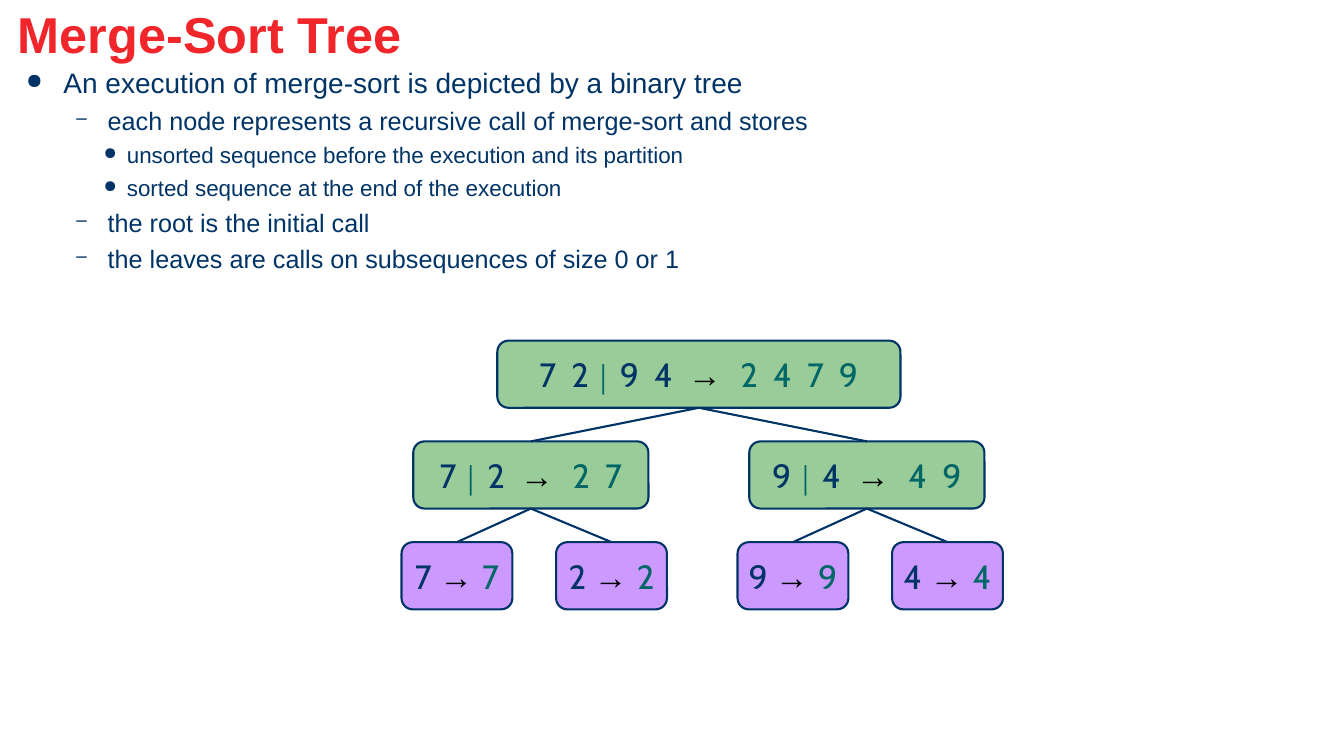
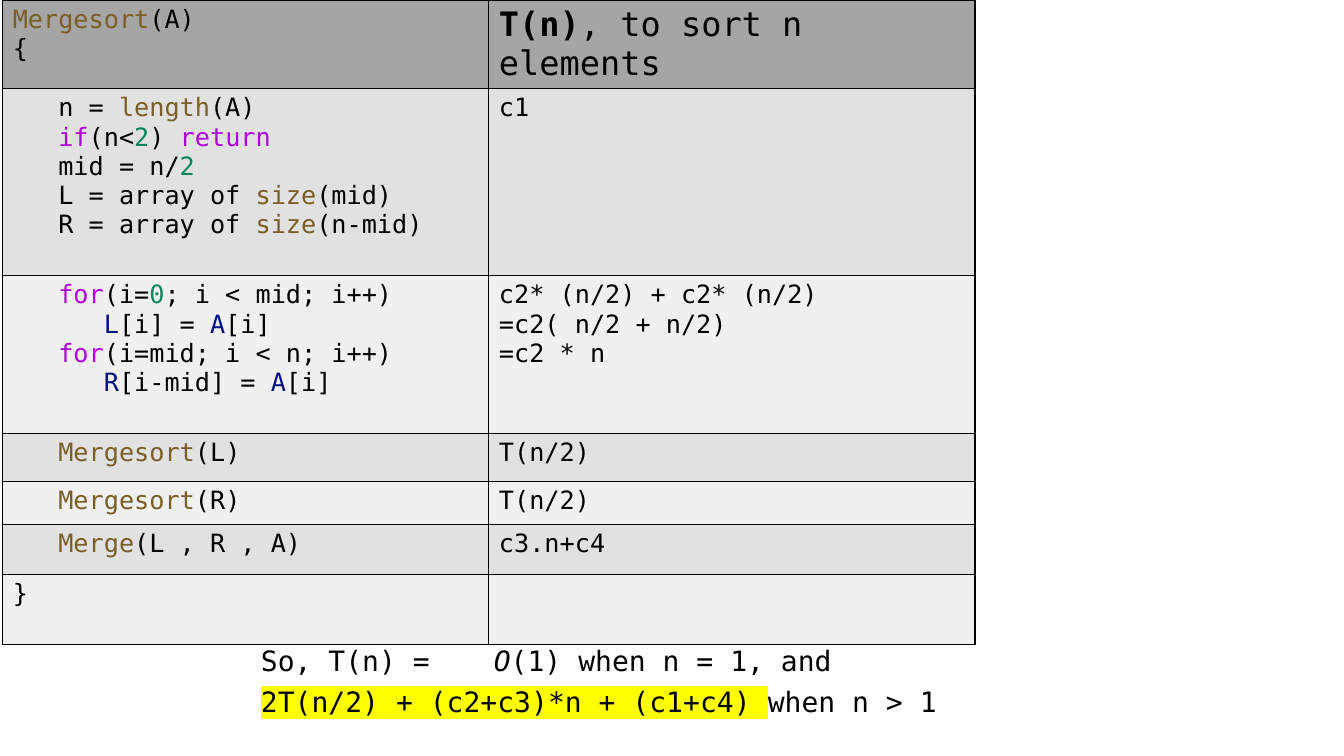
import itertools

import lxml.etree
import pptx
import pptx.dml.color
import pptx.enum.shapes
import pptx.enum.text
import pptx.oxml.ns
import pptx.util

# The slide is a grid of square cells, 40 columns by 22.5 rows
SLIDE_WIDTH = pptx.util.Inches(13.33)
SLIDE_HEIGHT = pptx.util.Inches(7.5)
COLUMNS = 40

RGB = pptx.dml.color.RGBColor
RED = RGB(0xF0, 0x26, 0x2B)
NAVY = RGB(0x00, 0x33, 0x66)
TEAL = RGB(0x00, 0x66, 0x66)
GREEN = RGB(0x99, 0xCC, 0x99)
PURPLE = RGB(0xCC, 0x99, 0xFF)
BLACK = RGB(0x00, 0x00, 0x00)
YELLOW = RGB(0xFF, 0xFF, 0x00)
HEADER_GRAY = RGB(0xA5, 0xA5, 0xA5)
BAND_GRAYS = (RGB(0xE1, 0xE1, 0xE1), RGB(0xF0, 0xF0, 0xF0))

# Code colours
FUNCTION = RGB(0x79, 0x5E, 0x26)
KEYWORD = RGB(0xAF, 0x00, 0xDB)
NUMBER = RGB(0x09, 0x86, 0x58)
VARIABLE = RGB(0x00, 0x10, 0x80)
KEYWORDS = ("if", "for", "return")

SANS, NODE_FONT, MONO = "Arial", "Cabin", "DejaVu Sans Mono"

# Bullet levels: text indent and hanging in inches, space before, size, bullet
LEVELS = (
    (0.37, 0.37, 5, 20, "●"),
    (0.81, 0.31, 4.5, 18, "–"),
    (1.0, 0.23, 4, 16, "●"),
)
OUTLINE = (
    (0, "An execution of merge-sort is depicted by a binary tree"),
    (1, "each node represents a recursive call of merge-sort and stores"),
    (2, "unsorted sequence before the execution and its partition"),
    (2, "sorted sequence at the end of the execution"),
    (1, "the root is the initial call"),
    (1, "the leaves are calls on subsequences of size 0 or 1"),
)

# Tree levels: node width and offsets of the two children, in columns
TREE_LEVELS = ((12, (-5, 5)), (7, (-2.2, 2.4)), (3.3, None))
TREE_TOP, NODE_HEIGHT, LEVEL_STEP = 10.14, 2, 3

# Table rows: height, code lines, cost lines
COST_ROWS = (
    (2.62, ("Mergesort(A)", "{"), ("T(n), to sort n elements",)),
    (5.57, ("   n = length(A)", "   if(n<2) return", "   mid = n/2",
            "   L = array of size(mid)", "   R = array of size(n-mid)"), ("c1",)),
    (4.7, ("   for(i=0; i < mid; i++)", "      L[i] = A[i]",
           "   for(i=mid; i < n; i++)", "      R[i-mid] = A[i]"),
     ("c2* (n/2) + c2* (n/2)", "=c2( n/2 + n/2)", "=c2 * n")),
    (1.43, ("   Mergesort(L)",), ("T(n/2)",)),
    (1.28, ("   Mergesort(R)",), ("T(n/2)",)),
    (1.49, ("   Merge(L , R , A)",), ("c3.n+c4",)),
    (2.08, ("}",), ()),
)


def grid(cells):
    return int(SLIDE_WIDTH * cells / COLUMNS)


def add_xml(parent, tag, **attributes):
    return lxml.etree.SubElement(parent, pptx.oxml.ns.qn(tag), attributes)


def set_font(font, name=None, size=None, color=None, bold=None):
    if name:
        font.name = name
    if size:
        font.size = pptx.util.Pt(size)
    if color is not None:
        font.color.rgb = color
    if bold is not None:
        font.bold = bold


def add_run(paragraph, text, **style):
    run = paragraph.add_run()
    run.text = text
    set_font(run.font, **style)
    return run


def next_paragraph(frame, index):
    return frame.add_paragraph() if index else frame.paragraphs[0]


def add_text_box(slide, left, top, width, height):
    frame = slide.shapes.add_textbox(*map(grid, (left, top, width, height))).text_frame
    frame.word_wrap = True
    return frame


# Merge-sort tree slide
def add_title(slide, text):
    frame = add_text_box(slide, 0.24, 0.15, 26.25, 1.92)
    frame.vertical_anchor = pptx.enum.text.MSO_ANCHOR.BOTTOM
    paragraph = frame.paragraphs[0]
    paragraph.text = text
    paragraph.line_spacing = 0.9
    set_font(paragraph.font, SANS, 36, RED, True)


def add_outline(slide, items):
    frame = add_text_box(slide, 0.48, 1.8, 38.16, 6.48)
    for index, (level, text) in enumerate(items):
        indent, hanging, space, size, bullet = LEVELS[level]
        paragraph = next_paragraph(frame, index)
        paragraph.text = text
        paragraph.level = level
        if index:
            paragraph.space_before = pptx.util.Pt(space)
        properties = paragraph._p.get_or_add_pPr()
        properties.set("marL", str(pptx.util.Inches(indent)))
        properties.set("indent", str(-pptx.util.Inches(hanging)))
        add_xml(add_xml(properties, "a:buClr"), "a:srgbClr", val=str(NAVY))
        add_xml(properties, "a:buSzPct", val="75000")
        add_xml(properties, "a:buChar", char=bullet)
        set_font(paragraph.font, SANS, size, NAVY)


def label_node(paragraph, values):
    half = len(values) // 2
    gap = "  " if half else " "
    if half:
        add_run(paragraph, gap.join(values[:half]) + " ", color=NAVY)
        add_run(paragraph, "│", name=SANS, size=18, color=TEAL, bold=True)
        add_run(paragraph, " " + gap.join(values[half:]) + gap, color=NAVY)
    else:
        add_run(paragraph, values + gap, color=NAVY)
    add_run(paragraph, "→" + gap, name=SANS, color=BLACK, bold=True)
    add_run(paragraph, gap.join(sorted(values)), color=TEAL)


def add_node(slide, values, center, level):
    width = TREE_LEVELS[level][0]
    node = slide.shapes.add_shape(
        pptx.enum.shapes.MSO_SHAPE.ROUNDED_RECTANGLE, grid(center - width / 2),
        grid(TREE_TOP + level * LEVEL_STEP), grid(width), grid(NODE_HEIGHT))
    node.shadow.inherit = False
    node.fill.solid()
    node.fill.fore_color.rgb = GREEN if len(values) > 1 else PURPLE
    node.line.color.rgb = NAVY
    node.line.width = pptx.util.Pt(1.5)
    frame = node.text_frame
    frame.word_wrap = False
    frame.vertical_anchor = pptx.enum.text.MSO_ANCHOR.MIDDLE
    paragraph = frame.paragraphs[0]
    paragraph.alignment = pptx.enum.text.PP_ALIGN.CENTER
    set_font(paragraph.font, NODE_FONT, 24)
    label_node(paragraph, values)
    return node


def add_branch(slide, parent, child):
    branch = slide.shapes.add_connector(
        pptx.enum.shapes.MSO_CONNECTOR.STRAIGHT, 0, 0, 0, 0)
    branch.begin_connect(parent, 2)
    branch.end_connect(child, 0)
    branch.line.color.rgb = NAVY
    branch.line.width = pptx.util.Pt(1.5)
    add_xml(branch._element.spPr, "a:effectLst")


def add_tree(slide, values, center, level=0):
    node = add_node(slide, values, center, level)
    half = len(values) // 2
    if half:
        offsets = TREE_LEVELS[level][1]
        for part, offset in zip((values[:half], values[half:]), offsets):
            add_branch(slide, node, add_tree(slide, part, center + offset, level + 1))
    return node


# Running-time slide
def token_color(token, following):
    if token in KEYWORDS:
        return KEYWORD
    if token.isdigit():
        return NUMBER
    if token.isalnum():
        return {"(": FUNCTION, "[": VARIABLE}.get(following[:1])
    return None


def add_code_line(paragraph, line):
    tokens = ["".join(group) for _, group in itertools.groupby(line, str.isalnum)]
    for token, following in itertools.zip_longest(tokens, tokens[1:], fillvalue=""):
        add_run(paragraph, token, color=token_color(token, following))


def add_cost_line(paragraph, line):
    add_run(paragraph, line)


def add_heading_line(paragraph, line):
    name, comma, rest = line.partition(",")
    add_run(paragraph, name, bold=True)
    add_run(paragraph, comma + rest)


def fill_cell(cell, lines, add_line, size, color):
    for index, line in enumerate(lines):
        paragraph = next_paragraph(cell.text_frame, index)
        set_font(paragraph.font, MONO, size, BLACK)
        add_line(paragraph, line)
    properties = cell._tc.get_or_add_tcPr()
    for side in ("a:lnL", "a:lnR", "a:lnT", "a:lnB"):
        border = add_xml(properties, side, w=str(pptx.util.Pt(1)))
        add_xml(add_xml(border, "a:solidFill"), "a:srgbClr", val=str(BLACK))
    cell.fill.solid()
    cell.fill.fore_color.rgb = color


def add_cost_table(slide, rows):
    heights = [height for height, _, _ in rows]
    table = slide.shapes.add_table(
        len(rows), 2, grid(0.08), 0, grid(28.94), grid(sum(heights))).table
    for index, (height, code, cost) in enumerate(rows):
        table.rows[index].height = grid(height)
        color = BAND_GRAYS[(index - 1) % 2] if index else HEADER_GRAY
        fill_cell(table.cell(index, 0), code, add_code_line, 18, color)
        add_line, size = (add_cost_line, 18) if index else (add_heading_line, 24)
        fill_cell(table.cell(index, 1), cost, add_line, size, color)


def add_conclusion(slide):
    frame = add_text_box(slide, 7.47, 18.82, 28.95, 2.64)
    base, general = frame.paragraphs[0], frame.add_paragraph()
    tabs = add_xml(base._p.get_or_add_pPr(), "a:tabLst")
    add_xml(tabs, "a:tab", pos=str(pptx.util.Inches(2.31)), algn="l")
    for paragraph in (base, general):
        paragraph.line_spacing = 1.2
        set_font(paragraph.font, MONO, 20, BLACK)
    add_run(base, "So, T(n) = \t")
    add_run(base, "O").font.italic = True
    add_run(base, "(1) when n = 1, and")
    formula = add_run(general, "2T(n/2) + (c2+c3)*n + (c1+c4) ")
    highlight = add_xml(formula._r.get_or_add_rPr(), "a:highlight")
    add_xml(highlight, "a:srgbClr", val=str(YELLOW))
    add_run(general, "when n > 1")


def main():
    presentation = pptx.Presentation()
    presentation.slide_width = SLIDE_WIDTH
    presentation.slide_height = SLIDE_HEIGHT
    blank = presentation.slide_layouts[6]

    tree_slide = presentation.slides.add_slide(blank)
    add_title(tree_slide, "Merge-Sort Tree")
    add_outline(tree_slide, OUTLINE)
    add_tree(tree_slide, "7294", 20.8)

    cost_slide = presentation.slides.add_slide(blank)
    add_cost_table(cost_slide, COST_ROWS)
    add_conclusion(cost_slide)

    presentation.save("out.pptx")


if __name__ == "__main__":
    main()
